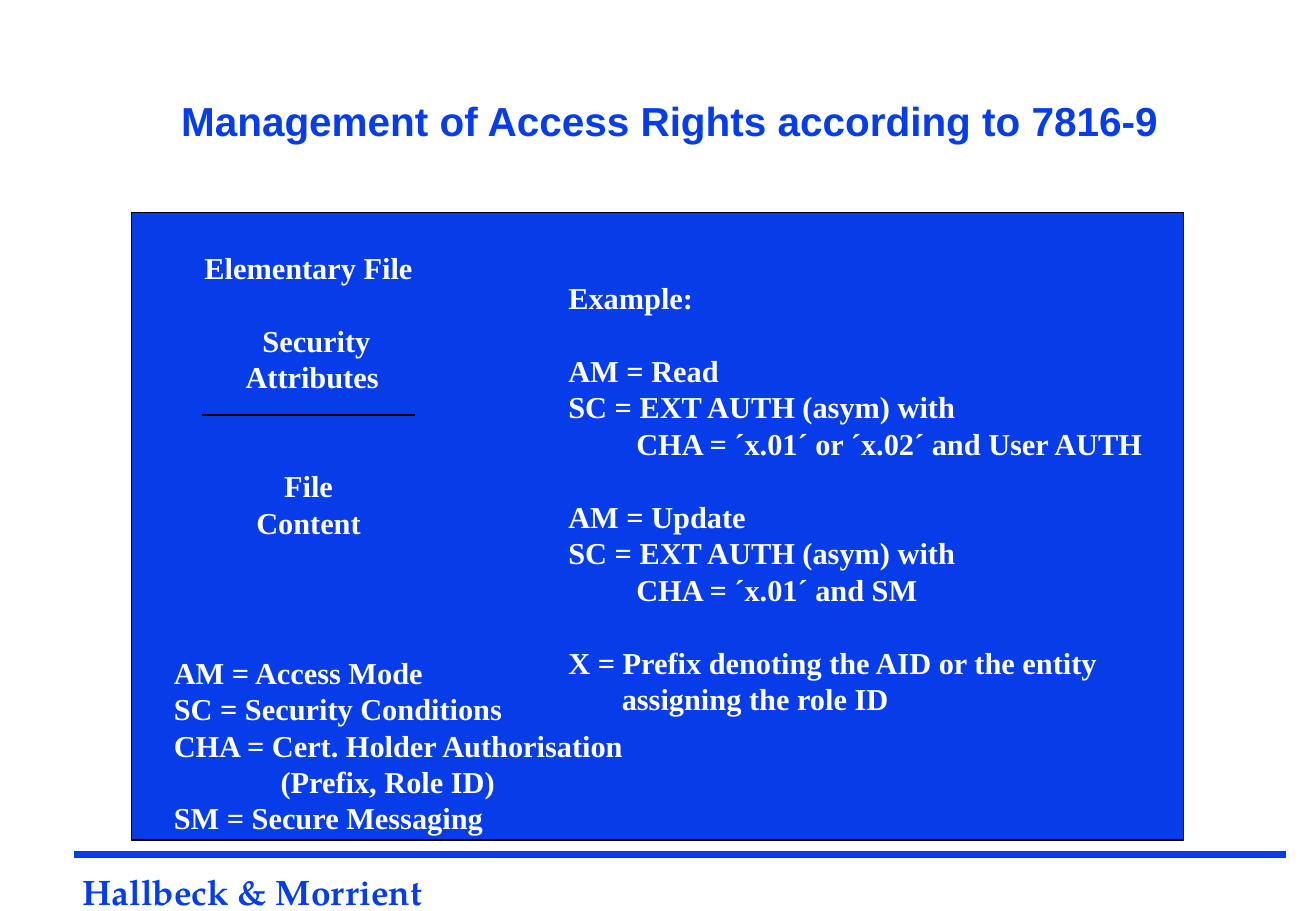
from collections import namedtuple
from dataclasses import dataclass

from lxml import etree
from pptx import Presentation, util as u
from pptx.dml.color import RGBColor
from pptx.enum import shapes, text
from pptx.oxml.ns import qn


@dataclass(frozen=True)
class Theme:
    blue: RGBColor = RGBColor.from_string("063DE8")
    black: RGBColor = RGBColor.from_string("000000")
    white: RGBColor = RGBColor.from_string("FFFFFF")
    heading: str = "Arial"
    body: str = "Times New Roman"
    footer: str = "TeX Gyre Pagella"
    heading_size: int = 24
    body_size: int = 18
    footer_size: int = 36
    leading: float = 1.2
    rule: int = 1
    footer_rule: int = 4


THEME = Theme()
CELL = u.Inches(1) / 12
BLANK_LAYOUT = 6
LINE_GAP = THEME.body_size * THEME.leading

# A line of text: blank lines above it, and its indent in inches
Line = namedtuple("Line", "words gap indent", defaults=(0, 0))

ELEMENTARY_FILE = [
    Line("Elementary File"),
    Line("Security", 1, 0.13),
    Line("Attributes", 0, 0.06),
    Line("File", 2),
    Line("Content"),
]
EXAMPLE = [
    Line("Example:"),
    Line("AM = Read", 1),
    Line("SC = EXT AUTH (asym) with"),
    Line("CHA = ´x.01´ or ´x.02´ and User AUTH", 0, 0.56),
    Line("AM = Update", 1),
    Line("SC = EXT AUTH (asym) with"),
    Line("CHA = ´x.01´ and SM", 0, 0.56),
    Line("X = Prefix denoting the AID or the entity", 1),
    Line("assigning the role ID", 0, 0.44),
]
LEGEND = [
    Line("AM = Access Mode"),
    Line("SC = Security Conditions"),
    Line("CHA = Cert. Holder Authorisation"),
    Line("(Prefix, Role ID)", 0, 0.88),
    Line("SM = Secure Messaging"),
]


@dataclass(frozen=True)
class Box:
    """An area in grid cells of a twelfth of an inch."""
    x: float
    y: float
    w: float
    h: float

    def inner(self, x, y, w, h):
        return Box(self.x + x, self.y + y, w, h)

    def emu(self):
        return [round(side * CELL) for side in (self.x, self.y, self.w, self.h)]


def add_rectangle(slide, box, line_colour):
    rectangle = slide.shapes.add_shape(shapes.MSO_SHAPE.RECTANGLE, *box.emu())
    rectangle.shadow.inherit = False
    rectangle.fill.solid()
    rectangle.fill.fore_color.rgb = THEME.blue
    rectangle.line.color.rgb = line_colour
    rectangle.line.width = u.Pt(THEME.rule)


def add_rule(slide, box, colour, width):
    """Draw a horizontal line along the top of the box."""
    x, y, w, _ = box.emu()
    rule = slide.shapes.add_connector(shapes.MSO_CONNECTOR.STRAIGHT, x, y, x + w, y)
    rule.line.color.rgb = colour
    rule.line.width = u.Pt(width)
    etree.SubElement(rule.element.spPr, qn("a:effectLst"))


def add_text(slide, box, lines, font, size, colour, spacing, margins=(0, 0),
             align=text.PP_ALIGN.LEFT, anchor=text.MSO_ANCHOR.TOP):
    frame = slide.shapes.add_textbox(*box.emu()).text_frame
    side, end = (u.Inches(margin) for margin in margins)
    frame_format = {
        "word_wrap": True, "vertical_anchor": anchor,
        "margin_left": side, "margin_right": side,
        "margin_top": end, "margin_bottom": end,
    }
    for name, value in frame_format.items():
        setattr(frame, name, value)
    for number, line in enumerate(lines):
        paragraph = frame.add_paragraph() if number else frame.paragraphs[0]
        paragraph.alignment = align
        paragraph.line_spacing = spacing
        if line.gap:
            paragraph.space_before = u.Pt(line.gap * LINE_GAP)
        if line.indent:
            paragraph._p.get_or_add_pPr().set("marL", str(u.Inches(line.indent)))
        run = paragraph.add_run()
        run.text = line.words
        font_format = {"name": font, "size": u.Pt(size), "bold": True}
        for name, value in font_format.items():
            setattr(run.font, name, value)
        run.font.color.rgb = colour
    return frame


def add_body(slide, box, lines, align=text.PP_ALIGN.LEFT):
    add_text(slide, box, lines, THEME.body, THEME.body_size, THEME.white,
             u.Pt(LINE_GAP), (0.1, 0.05), align)


def add_title(slide, box):
    add_text(slide, box, [Line("Management of Access Rights according to 7816-9")],
             THEME.heading, THEME.heading_size, THEME.blue,
             u.Pt(THEME.heading_size * THEME.leading ** 2))


def add_file_panel(slide, box):
    add_rectangle(slide, box, THEME.black)
    add_rectangle(slide, box.inner(7, 9, 21, 33), THEME.blue)
    add_body(slide, box.inner(5, 3, 25, 30), ELEMENTARY_FILE, text.PP_ALIGN.CENTER)
    add_rule(slide, box.inner(7, 20, 21, 0), THEME.black, THEME.rule)
    add_body(slide, box.inner(42, 6, 61, 44), EXAMPLE)
    add_body(slide, box.inner(3, 43, 48, 19), LEGEND)


def add_footer(slide, box):
    add_rule(slide, box.inner(0, 1.6, box.w, 0), THEME.blue, THEME.footer_rule)
    frame = add_text(slide, box.inner(0.8, 0, 50, box.h), [Line("Hallbeck & Morrient")],
                     THEME.footer, THEME.footer_size, THEME.blue, 0.9,
                     anchor=text.MSO_ANCHOR.BOTTOM)
    for run in frame.paragraphs[0].runs:
        run._r.get_or_add_rPr().set("baseline", "-18000")


def main():
    deck = Presentation()
    deck.slide_width, deck.slide_height = u.Inches(10.84), u.Inches(7.5)
    slide = deck.slides.add_slide(deck.slide_layouts[BLANK_LAYOUT])
    add_footer(slide, Box(7.35, 82.8, 119.75, 7))
    add_title(slide, Box(17.9, 8.5, 105, 5.75))
    add_file_panel(slide, Box(13, 21, 104, 62))
    deck.save("out.pptx")


if __name__ == "__main__":
    main()
